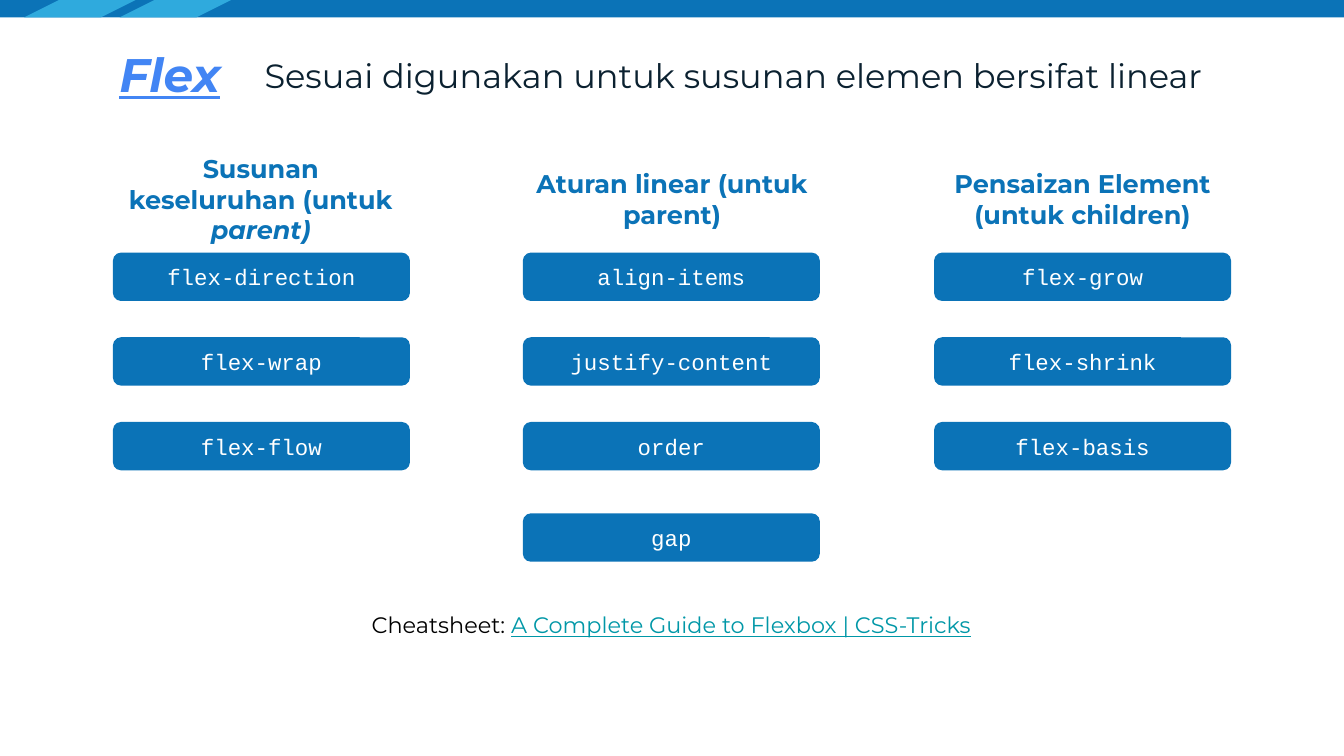
from pptx import Presentation
from pptx.dml.color import RGBColor
from pptx.enum.shapes import MSO_SHAPE
from pptx.enum.text import MSO_ANCHOR, PP_ALIGN
from pptx.util import Inches, Pt

RECT = MSO_SHAPE.RECTANGLE
ROUNDED = MSO_SHAPE.ROUNDED_RECTANGLE
SLANTED = MSO_SHAPE.PARALLELOGRAM
TOP, MIDDLE = MSO_ANCHOR.TOP, MSO_ANCHOR.MIDDLE
LEFT, CENTER = PP_ALIGN.LEFT, PP_ALIGN.CENTER

COLORS = {
    "blue": "0B73B7",
    "light_blue": "2FAADD",
    "title": "4285F4",
    "dark": "0B2130",
    "link": "0097A7",
    "black": "000000",
    "white": "FFFFFF",
}
SANS, MONO = "Montserrat", "Courier New"

# Column left, heading left, heading width, heading runs (text, italic), properties
COLUMNS = [
    (0.84, 0.78, 2.32, [("Susunan keseluruhan (untuk ", False), ("parent)", True)],
     ["flex-direction", "flex-wrap", "flex-flow"]),
    (3.89, 3.84, 2.32, [("Aturan linear (untuk parent)", False)],
     ["align-items", "justify-content", "order", "gap"]),
    (6.95, 6.95, 2.21, [("Pensaizan Element (untuk children)", False)],
     ["flex-grow", "flex-shrink", "flex-basis"]),
]
ROW_TOPS = [1.88, 2.51, 3.14, 3.82]


def rgb(name):
    return RGBColor.from_string(COLORS[name])


def add_block(slide, kind, x, y, w, h, fill, adjustment=None):
    """Add a filled shape without outline or shadow."""
    sp = slide.shapes.add_shape(kind, Inches(x), Inches(y), Inches(w), Inches(h))
    sp.shadow.inherit = False
    sp.fill.solid()
    sp.fill.fore_color.rgb = rgb(fill)
    sp.line.fill.background()
    if adjustment is not None:
        sp.adjustments[0] = adjustment
    return sp


def write(sp, texts, size, color, font=SANS, align=CENTER, anchor=MIDDLE):
    """Put one paragraph of runs into a shape; return the paragraph."""
    tf = sp.text_frame
    tf.word_wrap = True
    tf.vertical_anchor = anchor
    tf.margin_left = tf.margin_right = Inches(0.1)
    tf.margin_top = tf.margin_bottom = Inches(0.1)
    p = tf.paragraphs[0]
    p.alignment = align
    p.font.name = font
    p.font.size = Pt(size)
    p.font.color.rgb = rgb(color)
    for text in texts:
        p.add_run().text = text
    return p


def add_text(slide, x, y, w, h, texts, size, color, **layout):
    sp = slide.shapes.add_textbox(Inches(x), Inches(y), Inches(w), Inches(h))
    return write(sp, texts, size, color, **layout)


def add_column(slide, x, heading_x, heading_w, heading, properties):
    """Add a heading with its stack of property buttons."""
    p = add_text(slide, heading_x, 1.3, heading_w, 0.36,
                 [text for text, _ in heading], 13.7, "blue")
    p.font.bold = True
    for r, (_, italic) in zip(p.runs, heading):
        if italic:
            r.font.italic = True
    for y, name in zip(ROW_TOPS, properties):
        sp = add_block(slide, ROUNDED, x, y, 2.21, 0.36, "blue", 0.167)
        write(sp, [name], 12, "white", font=MONO)


def main():
    prs = Presentation()
    # 16:9 page
    prs.slide_width = Inches(10)
    prs.slide_height = prs.slide_width * 9 // 16
    slide = prs.slides.add_slide(prs.slide_layouts[6])

    # Top band and content card
    add_block(slide, RECT, 0, 0, 10, 0.13, "blue")
    for x in (0.18, 0.89):
        add_block(slide, SLANTED, x, 0, 0.83, 0.13, "light_blue", 2)
    add_block(slide, ROUNDED, 0.54, 1.15, 8.92, 3.93, "white", 0.03)

    # Title and description
    p = add_text(slide, 0.18, 0.24, 2.17, 0.63, ["Flex"], 25.2, "title", anchor=TOP)
    p.font.bold = p.font.italic = p.font.underline = True
    p = add_text(slide, 1.87, 0.24, 7.29, 0.59,
                 ["Sesuai digunakan untuk susunan elemen bersifat linear"],
                 18, "dark", align=LEFT)
    p.line_spacing = 1.15
    p.space_after = Pt(12)

    # Property columns
    for column in COLUMNS:
        add_column(slide, *column)

    # Reference line
    p = add_text(slide, 2.11, 4.45, 5.77, 0.4,
                 ["Cheatsheet: ", "A Complete Guide to Flexbox | CSS-Tricks"],
                 12, "black")
    reference = p.runs[1].font
    reference.color.rgb = rgb("link")
    reference.underline = True

    prs.save("out.pptx")


if __name__ == "__main__":
    main()
